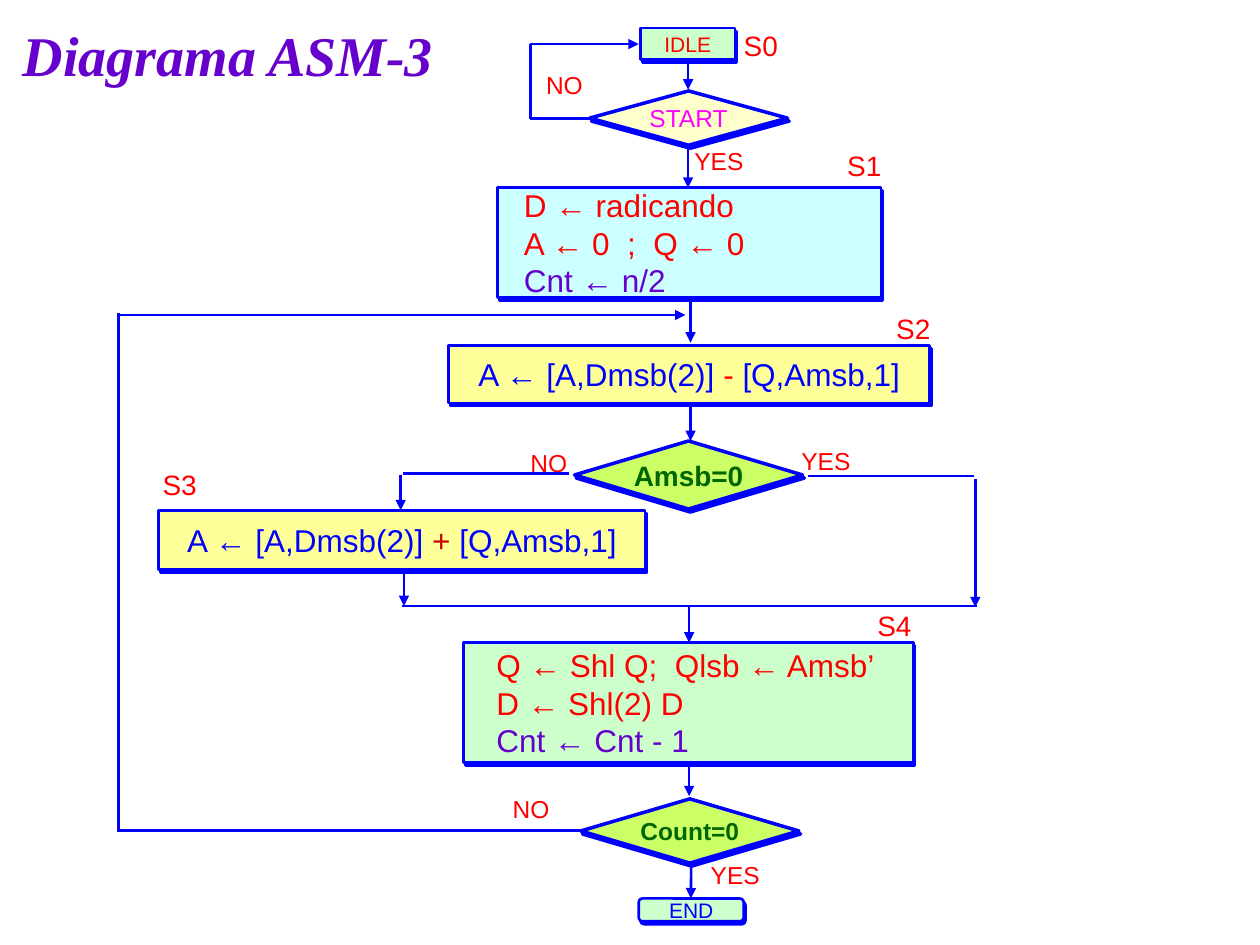
from dataclasses import dataclass

from lxml.etree import SubElement
from pptx import Presentation
from pptx.dml.color import RGBColor
from pptx.enum.shapes import MSO_CONNECTOR, MSO_SHAPE as Preset
from pptx.enum.text import MSO_ANCHOR as Anchor, MSO_AUTO_SIZE as AutoSize, PP_ALIGN as Align
from pptx.oxml.ns import qn
from pptx.util import Pt


@dataclass(frozen=True)
class Theme:
    blue: str = "0000FF"
    red: str = "FF0000"
    dark_red: str = "CC0000"
    purple: str = "6600CC"
    magenta: str = "FF00FF"
    dark_green: str = "006600"
    cyan_fill: str = "CCFFFF"
    green_fill: str = "CCFFCC"
    lime_fill: str = "CCFF66"
    yellow_fill: str = "FFFF99"
    cream_fill: str = "FFFFCC"
    font: str = "Arial"
    title_font: str = "Times New Roman"
    title: int = 32
    action: int = 18
    state: int = 16
    answer: int = 14
    terminal: int = 12
    outline: float = 1.5
    test_outline: float = 2


THEME = Theme()


@dataclass(frozen=True)
class Box:
    left: float
    top: float
    width: float
    height: float

    def inner(self, left, top, width, height):
        """Return a box placed relative to this one."""
        return Box(self.left + left, self.top + top, width, height)

    def points(self):
        return [Pt(value) for value in (self.left, self.top, self.width, self.height)]


def write(shape, *lines, size=THEME.action, color=THEME.red, font=THEME.font, bold=False,
          italic=False, align=Align.LEFT, anchor=Anchor.MIDDLE, insets=(0, 0, 0, 0), wrap=True):
    """Fill a shape with lines; each is a text or a list of (text, colour) spans."""
    frame = shape.text_frame
    frame.auto_size = AutoSize.NONE
    frame.word_wrap = wrap
    frame.vertical_anchor = anchor
    (frame.margin_left, frame.margin_top,
     frame.margin_right, frame.margin_bottom) = [Pt(inset) for inset in insets]
    for index, line in enumerate(lines):
        para = frame.add_paragraph() if index else frame.paragraphs[0]
        para.alignment = align
        for text, span_color in [(line, color)] if isinstance(line, str) else line:
            span = para.add_run()
            span.text = text
            span.font.name = font
            span.font.size = Pt(size)
            span.font.bold = bold
            span.font.italic = italic
            span.font.color.rgb = RGBColor.from_string(span_color)


def add_node(page, preset, box, fill, outline, *lines, **text_format):
    """Add an outlined shape with a hard offset shadow."""
    node = page.shapes.add_shape(preset, *box.points())
    node.fill.solid()
    node.fill.fore_color.rgb = RGBColor.from_string(fill)
    node.line.color.rgb = RGBColor.from_string(THEME.blue)
    node.line.width = Pt(outline)
    node.shadow.inherit = False
    effects = node._element.spPr.find(qn("a:effectLst"))
    shadow = SubElement(effects, qn("a:outerShdw"), blurRad="0", dist=str(Pt(2)),
                        dir="3600000", algn="ctr", rotWithShape="0")
    SubElement(shadow, qn("a:srgbClr"), val=THEME.blue)
    write(node, *lines, **text_format)


def add_action(page, box, fill, *lines, **text_format):
    add_node(page, Preset.RECTANGLE, box, fill, THEME.outline, *lines, **text_format)


def add_test(page, box, fill, text, preset=Preset.FLOWCHART_DECISION, **text_format):
    add_node(page, preset, box, fill, THEME.test_outline, text, align=Align.CENTER, **text_format)


def add_label(page, box, text, **text_format):
    write(page.shapes.add_textbox(*box.points()), text, **text_format)


def add_answer(page, box, left, top, text):
    add_label(page, box.inner(left, top, 32, 16.6), text, size=THEME.answer, wrap=False)


def add_state(page, box, left, top, text, align=Align.CENTER):
    add_label(page, box.inner(left, top, 30, 19.4), text, size=THEME.state, align=align)


def add_line(page, box, start, end, arrow=False):
    """Join two points given relative to the box."""
    ends = [Pt(value) for x, y in (start, end) for value in (box.left + x, box.top + y)]
    line = page.shapes.add_connector(MSO_CONNECTOR.STRAIGHT, *ends)
    line.line.color.rgb = RGBColor.from_string(THEME.blue)
    line.line.width = Pt(THEME.outline)
    if arrow:
        SubElement(line.line._get_or_add_ln(), qn("a:tailEnd"), type="triangle")
    SubElement(line._element.spPr, qn("a:effectLst"))


def add_title(page, box):
    title = page.shapes.title
    title.left, title.top, title.width, title.height = box.points()
    write(title, "Diagrama ASM-3", size=THEME.title, color=THEME.purple, font=THEME.title_font,
          bold=True, italic=True, anchor=Anchor.TOP, insets=(7.2, 3.6, 7.2, 3.6))


def draw_idle(page, box):
    """Idle state S0 and the start test, with the waiting loop on the left."""
    add_test(page, box.inner(34, 36, 113, 31), THEME.cream_fill, "START",
             size=THEME.answer, color=THEME.magenta)
    add_action(page, box.inner(63, 0, 54, 18), THEME.green_fill, "IDLE",
               size=THEME.terminal, align=Align.CENTER)
    add_state(page, box, 122, 0, "S0", Align.LEFT)
    add_answer(page, box, 9, 24.4, "NO")
    add_answer(page, box, 93.8, 67.6, "YES")
    add_line(page, box, (90.2, 18), (90.2, 35.2), arrow=True)
    add_line(page, box, (90.2, 66.2), (90.2, box.height), arrow=True)
    add_line(page, box, (34, 51.8), (0, 51.8))
    add_line(page, box, (0, 51.8), (0, 9.2))
    add_line(page, box, (0, 9.2), (62, 9.2), arrow=True)


def draw_load(page, box):
    add_action(page, box, THEME.cyan_fill, "D ← radicando", "A ← 0  ;  Q ← 0",
               [("Cnt ← n/2", THEME.purple)], insets=(15, 0, 0, 0))
    add_state(page, box, 194.5, -22.3, "S1")
    add_line(page, box, (110.2, 63.3), (110.2, 88.5), arrow=True)


def add_sum(page, box, sign, sign_color):
    add_action(page, box, THEME.yellow_fill,
               [("A ← [A,Dmsb(2)] ", THEME.blue), (sign, sign_color),
                (" [Q,Amsb,1]", THEME.blue)], align=Align.CENTER)


def draw_subtract(page, box):
    add_sum(page, box, "-", THEME.red)
    add_state(page, box, 250.6, -19.5, "S2")
    add_line(page, box, (138.3, 34.5), (138.3, 54.7), arrow=True)


def draw_sign_branch(page, box):
    """Sign test, restoring state S3 on the left, and the line where both ways meet."""
    add_test(page, box.inner(237.6, 0, 130.3, 38.9), THEME.lime_fill, "Amsb=0",
             preset=Preset.DIAMOND, size=THEME.state, color=THEME.dark_green, bold=True)
    add_sum(page, box.inner(0, 39.6, 278, 33.8), "+", THEME.dark_red)
    add_state(page, box, 2.2, 15.1, "S3", Align.LEFT)
    add_answer(page, box, 212.4, 4.3, "NO")
    add_answer(page, box, 367.2, 2.9, "YES")
    add_line(page, box, (139.7, 18.7), (234.7, 18.7))
    add_line(page, box, (138.3, 19.4), (138.3, 39.6), arrow=True)
    add_line(page, box, (140.1, 74.9), (140.1, 94.3), arrow=True)
    add_line(page, box, (370.8, 20), (465.9, 20))
    add_line(page, box, (466.6, 21.6), (466.6, 95), arrow=True)
    add_line(page, box, (139, 94.3), (box.width, 94.3))
    add_line(page, box, (303.1, 95), (303.1, box.height), arrow=True)


def draw_shift(page, box):
    add_action(page, box, THEME.green_fill, "Q ← Shl Q;  Qlsb ← Amsb’", "D ← Shl(2) D",
               [("Cnt ← Cnt - 1", THEME.purple)], insets=(18.7, 0, 0, 0))
    add_state(page, box, 231.1, -19.4, "S4")
    add_line(page, box, (128.8, 69.8), (128.8, 87.8), arrow=True)


def draw_count(page, box):
    """Counter test with the long way back, and the end of the run."""
    add_test(page, box.inner(264.9, 278, 124.6, 36.7), THEME.lime_fill, "Count=0",
             size=THEME.answer, color=THEME.dark_green, bold=True)
    add_node(page, Preset.ROUNDED_RECTANGLE, box.inner(298, 334.9, 60, 13), THEME.green_fill,
             THEME.outline, "END", size=THEME.terminal, color=THEME.blue, align=Align.CENTER)
    add_answer(page, box, 226, 275.1, "NO")
    add_answer(page, box, 339.1, 313.3, "YES")
    add_line(page, box, (264.9, 296), (0, 296))
    add_line(page, box, (0.7, 296.7), (0.7, 0.1))
    add_line(page, box, (0, 1.5), (324.7, 1.5), arrow=True)
    add_line(page, box, (328, 314.7), (327.8, 334.9), arrow=True)


def main():
    deck = Presentation()
    deck.slide_width, deck.slide_height = Pt(720), Pt(540)
    page = deck.slides.add_slide(deck.slide_layouts[5])
    add_title(page, Box(5.8, 7.9, 334.8, 46))
    draw_idle(page, Box(303, 16, 152, 91.3))
    draw_load(page, Box(284.4, 107.3, 219, 62.6))
    draw_subtract(page, Box(256.3, 197.3, 275, 33.1))
    draw_sign_branch(page, Box(90.7, 252, 467.3, 115.2))
    draw_shift(page, Box(265, 367.2, 257, 68.4))
    draw_count(page, Box(67, 178.5, 390, 348))
    deck.save("out.pptx")


if __name__ == "__main__":
    main()
